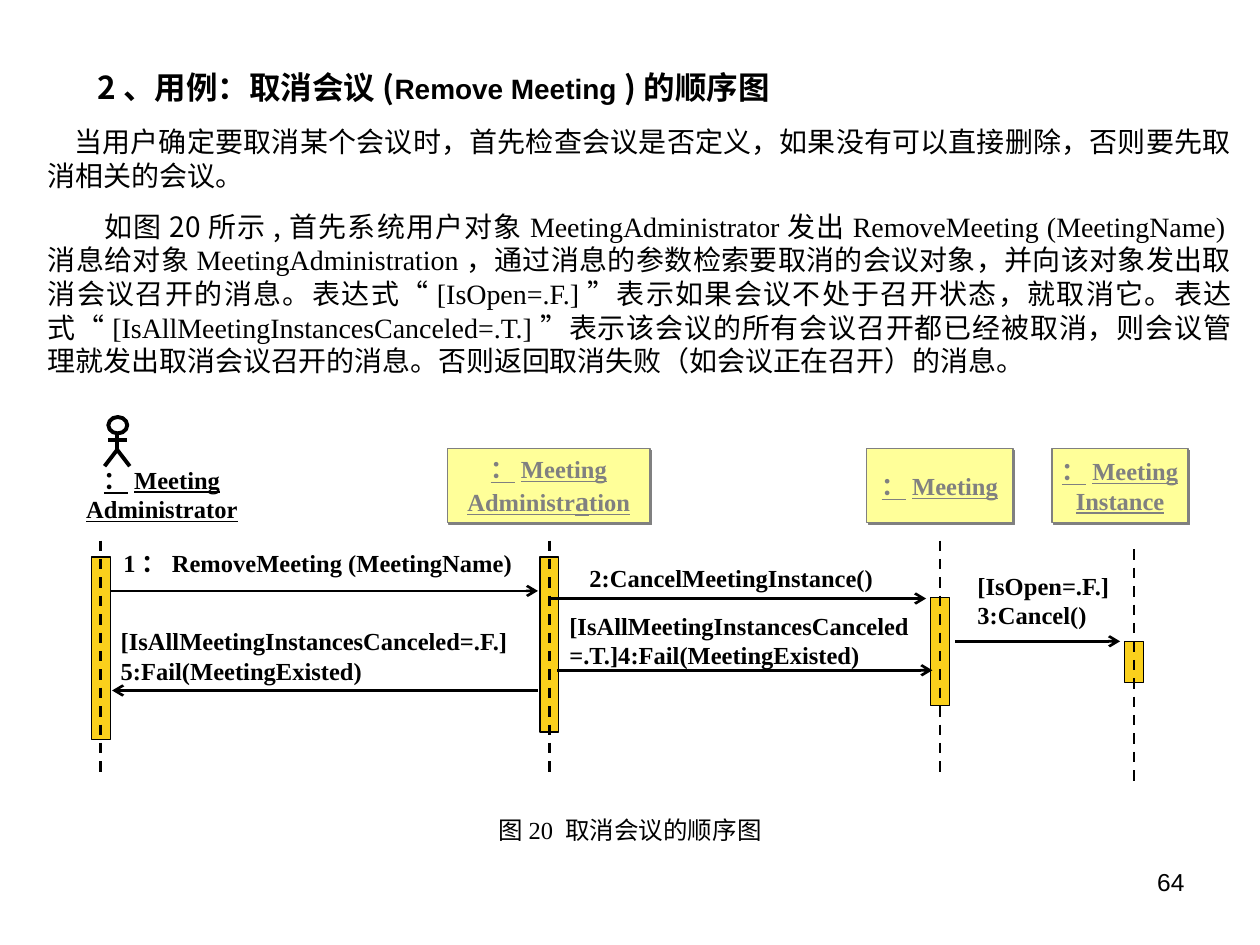
from lxml.etree import SubElement
from pptx import Presentation
from pptx.dml.color import RGBColor
from pptx.enum.dml import MSO_LINE_DASH_STYLE as DASH
from pptx.enum.shapes import MSO_CONNECTOR, MSO_SHAPE
from pptx.enum.text import MSO_ANCHOR, MSO_AUTO_SIZE, PP_ALIGN
from pptx.oxml.ns import qn
from pptx.util import Inches, Pt

BLACK = RGBColor(0x00, 0x00, 0x00)
GRAY = RGBColor(0x80, 0x80, 0x80)
YELLOW = RGBColor(0xFF, 0xFF, 0x99)
GOLD = RGBColor(0xFA, 0xD0, 0x1C)
SANS, SERIF, CJK = "Arial", "Times New Roman", "Noto Sans CJK SC"
BAR_WIDTH = 0.15
LIFELINE_LENGTH = 1.85


class SequenceSlide:
    """Holds the style and the current slide, and draws each kind of element."""

    def __init__(self, slide):
        self.slide = slide
        self.shapes = slide.shapes

    def set_text(self, frame, paragraphs, size=14, font=SERIF, color=BLACK,
                 bold=False, underline=False, align=PP_ALIGN.LEFT):
        frame.auto_size = MSO_AUTO_SIZE.NONE
        for index, pieces in enumerate(paragraphs):
            paragraph = frame.paragraphs[0] if index == 0 else frame.add_paragraph()
            paragraph.alignment = align
            paragraph.space_before = Pt(0)
            style = paragraph.font
            style.size, style.name = Pt(size), font
            style.bold, style.underline = bold, underline
            style.color.rgb = color
            if isinstance(pieces, str):
                pieces = [(pieces, None, None)]
            for text, run_font, run_size in pieces:
                run = paragraph.add_run()
                run.text = text
                if run_font:
                    run.font.name = run_font
                if run_size:
                    run.font.size = Pt(run_size)

    def place(self, shape, left, top, width, height):
        shape.left, shape.top = Inches(left), Inches(top)
        shape.width, shape.height = Inches(width), Inches(height)

    def title(self, pieces, *box):
        shape = self.shapes.title
        self.place(shape, *box)
        shape.text_frame.vertical_anchor = MSO_ANCHOR.MIDDLE
        self.set_text(shape.text_frame, [pieces], size=18, font=CJK, bold=True)

    def body(self, paragraphs, indents, *box):
        shape = self.slide.placeholders[1]
        self.place(shape, *box)
        frame = shape.text_frame
        frame.auto_size = MSO_AUTO_SIZE.NONE
        for index, (pieces, indent) in enumerate(zip(paragraphs, indents)):
            paragraph = frame.paragraphs[0] if index == 0 else frame.add_paragraph()
            paragraph.alignment = PP_ALIGN.JUSTIFY
            paragraph.space_before = Pt(10 if index else 0)
            paragraph.line_spacing = Pt(19.2)
            properties = paragraph._p.get_or_add_pPr()
            properties.set("marL", "0")
            properties.set("indent", str(Inches(indent)))
            SubElement(properties, qn("a:buNone"))
            paragraph.font.size = Pt(16)
            paragraph.font.color.rgb = BLACK
            for text, font in pieces:
                run = paragraph.add_run()
                run.text = text
                run.font.name = font

    def label(self, paragraphs, left, top, width, height, **style):
        shape = self.shapes.add_textbox(Inches(left), Inches(top), Inches(width), Inches(height))
        shape.text_frame.word_wrap = True
        self.set_text(shape.text_frame, paragraphs, **style)

    def shape(self, kind, left, top, width, height, fill=None, line=BLACK, weight=0.75):
        shape = self.shapes.add_shape(kind, Inches(left), Inches(top), Inches(width), Inches(height))
        shape.shadow.inherit = False
        if fill is None:
            shape.fill.background()
        else:
            shape.fill.solid()
            shape.fill.fore_color.rgb = fill
        shape.line.color.rgb = line
        shape.line.width = Pt(weight)
        return shape

    def object_box(self, paragraphs, left, width):
        shape = self.shape(MSO_SHAPE.RECTANGLE, left, 3.56, width, 0.59, YELLOW, GRAY)
        effects = shape._element.spPr.find(qn("a:effectLst"))
        shadow = SubElement(effects, qn("a:outerShdw"), dist=str(Pt(1.4)), dir="2700000",
                            algn="ctr", rotWithShape="0")
        SubElement(shadow, qn("a:srgbClr"), val=str(GRAY))
        frame = shape.text_frame
        frame.word_wrap = False
        frame.vertical_anchor = MSO_ANCHOR.MIDDLE
        self.set_text(frame, paragraphs, color=GRAY, bold=True, underline=True,
                      align=PP_ALIGN.CENTER)

    def line(self, x1, y1, x2, y2, weight=1.5, dash=None, arrow=False):
        connector = self.shapes.add_connector(
            MSO_CONNECTOR.STRAIGHT, Inches(x1), Inches(y1), Inches(x2), Inches(y2))
        connector.line.color.rgb = BLACK
        connector.line.width = Pt(weight)
        if dash:
            connector.line.dash_style = dash
        properties = connector._element.spPr
        if arrow:
            SubElement(properties.find(qn("a:ln")), qn("a:tailEnd"), type="arrow")
        SubElement(properties, qn("a:effectLst"))

    def lifeline(self, x, top, bar_top, bar_height):
        self.shape(MSO_SHAPE.RECTANGLE, x - BAR_WIDTH / 2, bar_top, BAR_WIDTH, bar_height, GOLD)
        self.line(x, top, x, top + LIFELINE_LENGTH, dash=DASH.DASH)

    def actor(self, x, top):
        self.shape(MSO_SHAPE.OVAL, x - 0.07, top, 0.15, 0.13, weight=2.25)
        neck, arms, hips, feet = top + 0.13, top + 0.18, top + 0.26, top + 0.39
        for segment in ((x, neck, x, hips), (x - 0.07, arms, x + 0.08, arms),
                        (x, hips, x - 0.1, feet), (x, hips, x + 0.1, feet)):
            self.line(*segment, weight=2.25)


def main():
    presentation = Presentation()
    presentation.slide_width, presentation.slide_height = Inches(10), Inches(7.5)
    page = SequenceSlide(presentation.slides.add_slide(presentation.slide_layouts[1]))

    page.title([("2、", None, None), ("用例：", SANS, None), ("取消会议(", None, None),
                ("Remove Meeting ", SANS, 16), (")的顺序图", None, None)], 0.67, 0.5, 7.6, 0.38)
    page.body([
        [("当用户确定要取消某个会议时，首先检查会议是否定义，如果没有可以直接删除，"
          "否则要先取消相关的会议。", CJK)],
        [("如图20所示,首先系统用户对象", CJK),
         ("MeetingAdministrator发出RemoveMeeting (MeetingName)消息给对象MeetingAdministration，"
          "通过消息的参数检索要取消的会议对象，并向该对象发出取消会议召开的消息。"
          "表达式“[IsOpen=.F.]”表示如果会议不处于召开状态，就取消它。"
          "表达式“[IsAllMeetingInstancesCanceled=.T.]”表示该会议的所有会议召开都已经被取消，"
          "则会议管理就发出取消会议召开的消息。否则返回取消失败（如会议正在召开）的消息。", SERIF)],
    ], (0.21, 0.45), 0.28, 0.94, 9.6, 2.11)

    page.actor(0.93, 3.31)
    page.label(["：Meeting", "Administrator"], 0.44, 3.64, 1.69, 0.57,
               bold=True, underline=True, align=PP_ALIGN.CENTER)
    administration = [("Administr", None, None), ("a", None, 16), ("tion", None, None)]
    for paragraphs, left, width in ((["：Meeting", administration], 3.55, 1.61),
                                    (["：Meeting"], 6.88, 1.16),
                                    (["：Meeting", "Instance"], 8.35, 1.08)):
        page.object_box(paragraphs, left, width)

    for lifeline in ((0.8, 4.29, 4.42, 1.45), (4.36, 4.29, 4.42, 1.39),
                     (7.46, 4.29, 4.74, 0.86), (9, 4.36, 5.09, 0.33)):
        page.lifeline(*lifeline)

    for start, end, y in ((0.88, 4.27, 4.69), (4.37, 7.35, 4.75), (7.58, 8.89, 5.09),
                          (4.42, 7.4, 5.32), (4.27, 0.89, 5.48)):
        page.line(start, y, end, y, arrow=True)

    for paragraphs, left, top, width in (
            (["1：RemoveMeeting (MeetingName)"], 0.88, 4.3, 4.39),
            (["2:CancelMeetingInstance()"], 4.58, 4.42, 2.85),
            (["[IsOpen=.F.]", "3:Cancel()"], 7.66, 4.48, 1.46),
            (["[IsAllMeetingInstancesCanceled", "=.T.]4:Fail(MeetingExisted)"], 4.42, 4.8, 3.08),
            (["[IsAllMeetingInstancesCanceled=.F.]", "5:Fail(MeetingExisted)"], 0.86, 4.92, 3.7)):
        page.label(paragraphs, left, top, width, 0.11 + 0.23 * len(paragraphs), bold=True)

    page.label(["图20 取消会议的顺序图"], 3.29, 6.42, 3.42, 0.34, align=PP_ALIGN.CENTER)
    page.label(["64"], 7.17, 6.83, 2.33, 0.52, font=SANS, align=PP_ALIGN.RIGHT)
    presentation.save("out.pptx")


if __name__ == "__main__":
    main()
